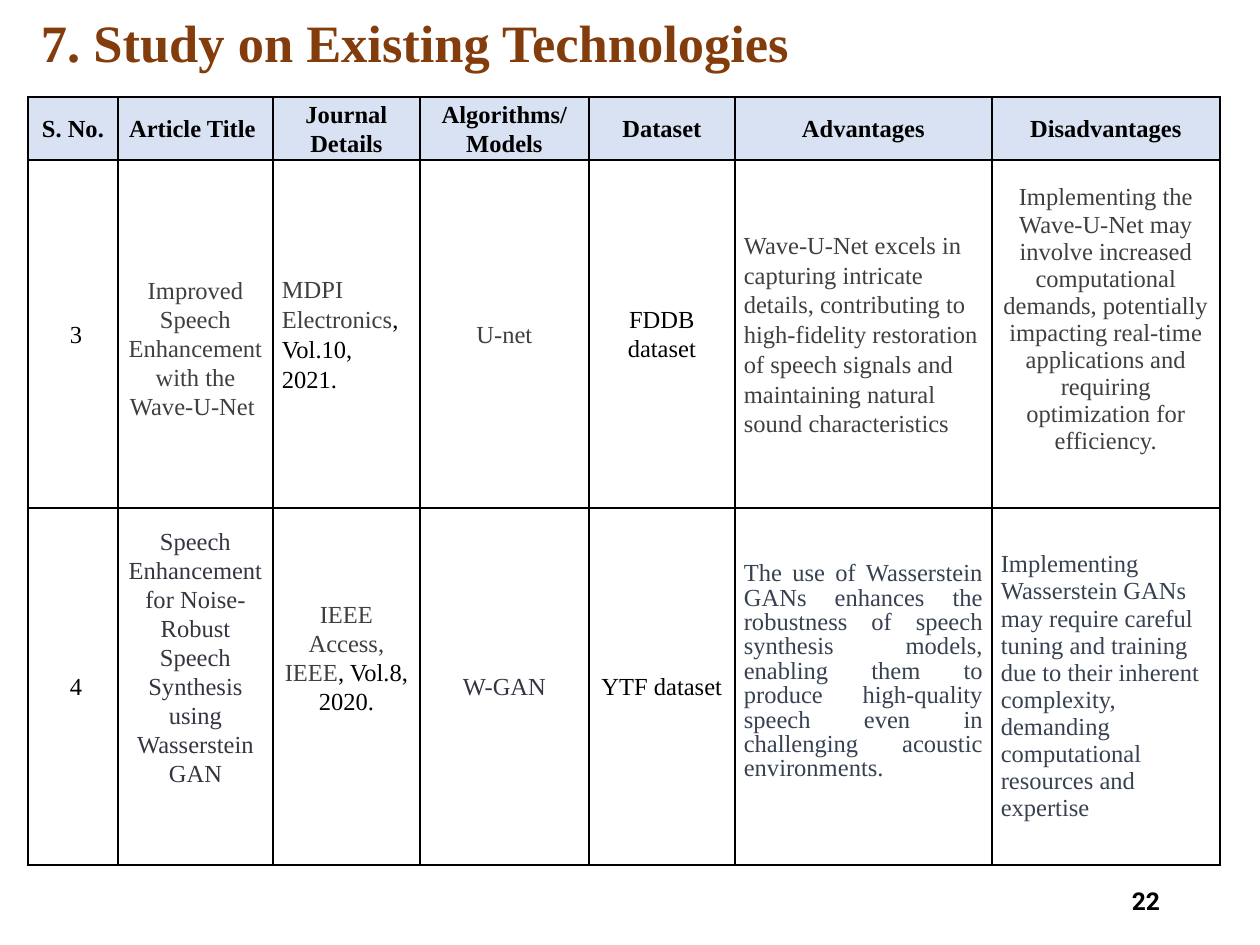
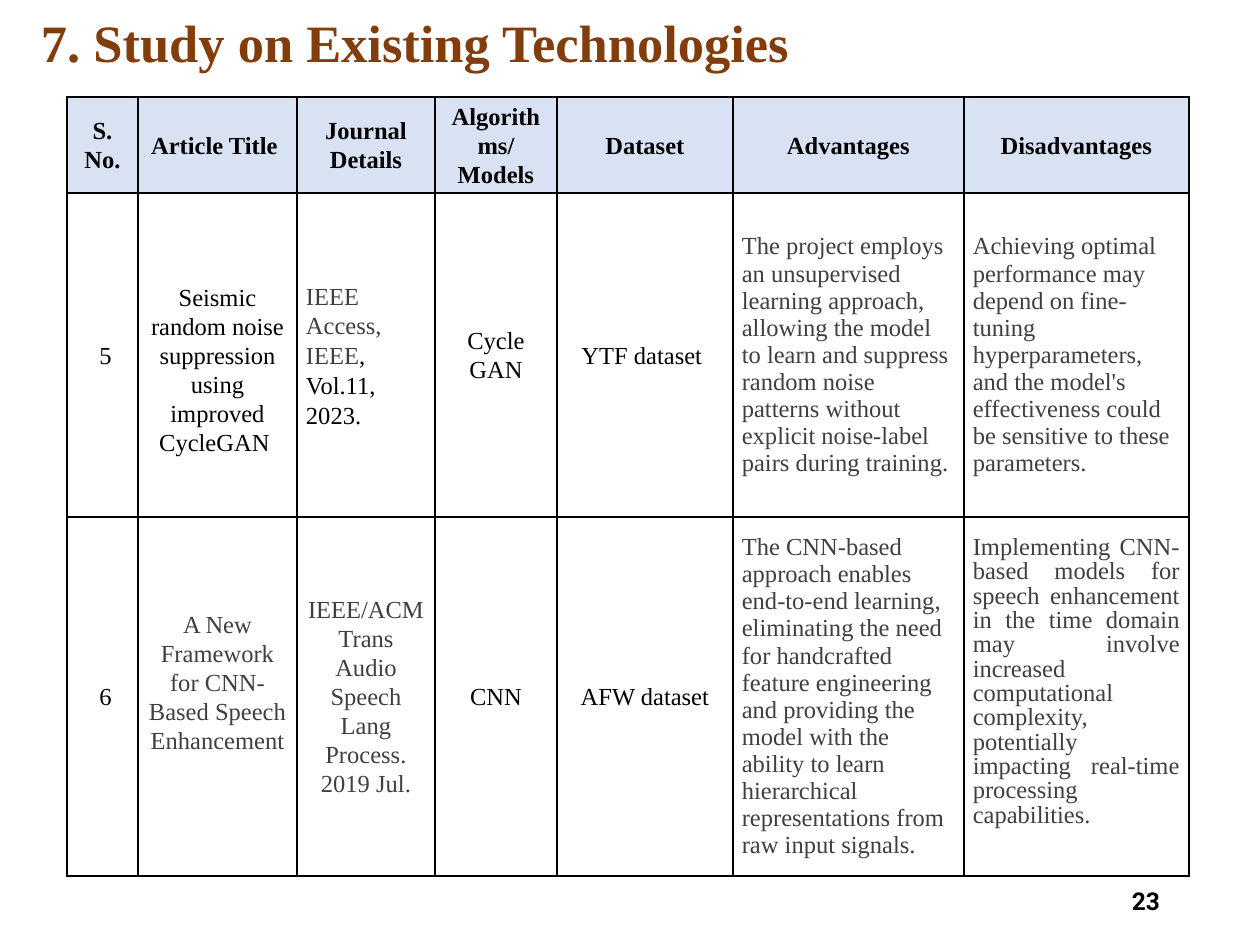
from dataclasses import dataclass

from lxml.etree import SubElement
from pptx import Presentation
from pptx.dml.color import RGBColor
from pptx.enum.text import MSO_ANCHOR, PP_ALIGN
from pptx.oxml.ns import qn
from pptx.util import Emu, Pt

SCALE = 914400 / 126  # EMU in one px


def px(n):
    return Emu(round(n * SCALE))


@dataclass(frozen=True)
class Theme:
    serif: str = "Times New Roman"
    sans: str = "Roboto"
    title: str = "833C0B"
    header: str = "D8E2F3"
    black: str = "000000"
    gray: str = "3F3F3F"
    ink: str = "343541"
    slate: str = "374151"
    title_size: int = 30
    body_size: int = 14
    inset: int = 9   # cell side margin, px
    line: int = 29   # height of one text line, px


T = Theme()

# Paragraph styles: alignment and line spacing
CENTER = (PP_ALIGN.CENTER, 1.07)
CENTER_TIGHT = (PP_ALIGN.CENTER, 1.0)
LEFT = (PP_ALIGN.LEFT, 1.1)
LEFT_TIGHT = (PP_ALIGN.LEFT, 1.0)
JUSTIFY = (PP_ALIGN.JUSTIFY, 0.9)
TITLE = (PP_ALIGN.LEFT, 0.9)
NUMBER = (PP_ALIGN.RIGHT, 1.0)


@dataclass
class Cell:
    """Table cell: (text, colour) runs, and free space in px around them."""
    runs: list
    style: tuple = CENTER
    top: int = 0
    bottom: int = 0
    indent: int = 0


def cell(text, color=T.black, style=CENTER, **space):
    return Cell([(text, color)], style, **space)


def serial(number):
    return cell(str(number), indent=6)


def journal(name, issue, style, **space):
    return Cell([(name, T.gray), (issue, T.black)], style, **space)


class Deck:
    def __init__(self, theme):
        self.t = theme
        self.prs = Presentation()
        self.prs.slide_width, self.prs.slide_height = px(1260), px(945)
        self.s = None

    def slide(self, title, number):
        self.s = self.prs.slides.add_slide(self.prs.slide_layouts[6])
        t = self.t
        self.text((28, 0, 1205, 91), title, TITLE, t.title_size, t.serif, t.title)
        self.text((890, 876, 283, 50), str(number), NUMBER, t.body_size, t.sans, t.black)

    def paragraph(self, tf, runs, style, size, font, bold):
        p = tf.paragraphs[0]
        p.alignment, p.line_spacing = style
        for text, color in runs:
            r = p.add_run()
            r.text = text
            r.font.name = font
            r.font.size = Pt(size)
            r.font.bold = bold
            r.font.color.rgb = RGBColor.from_string(color)

    def text(self, box, text, style, size, font, color):
        sp = self.s.shapes.add_textbox(*map(px, box))
        tf = sp.text_frame
        tf.word_wrap = True
        tf.vertical_anchor = MSO_ANCHOR.MIDDLE
        tf.margin_left = tf.margin_right = px(13)
        tf.margin_top = tf.margin_bottom = px(6)
        self.paragraph(tf, [(text, color)], style, size, font, True)

    def border(self, tc):
        tc_pr = tc._tc.get_or_add_tcPr()
        for side in ("lnL", "lnR", "lnT", "lnB"):
            ln = SubElement(tc_pr, qn(f"a:{side}"), w=str(Pt(1)))
            fill = SubElement(ln, qn("a:solidFill"))
            SubElement(fill, qn("a:srgbClr"), val=self.t.black)

    def table(self, left, top, widths, heights, rows):
        t = self.t
        frame = self.s.shapes.add_table(
            len(rows), len(widths), px(left), px(top), px(sum(widths)), px(sum(heights)))
        tbl = frame.table
        tbl.first_row = tbl.horz_banding = False
        for column, width in zip(tbl.columns, widths):
            column.width = px(width)
        for i, (height, row) in enumerate(zip(heights, rows)):
            tbl.rows[i].height = px(height)
            for j, c in enumerate(row):
                tc = tbl.cell(i, j)
                tc.vertical_anchor = MSO_ANCHOR.MIDDLE
                tc.margin_left, tc.margin_right = px(t.inset + c.indent), px(t.inset)
                tc.margin_top, tc.margin_bottom = px(c.top), px(c.bottom)
                self.border(tc)
                if i == 0:
                    tc.fill.solid()
                    tc.fill.fore_color.rgb = RGBColor.from_string(t.header)
                else:
                    tc.fill.background()
                self.paragraph(tc.text_frame, c.runs, c.style, t.body_size, t.serif, i == 0)


HEADING = "7. Study on Existing Technologies"
HEADER = [cell(name) for name in (
    "S. No.", "Article Title ", "Journal Details", "Algorithms/ Models",
    "Dataset", "Advantages", "Disadvantages")]

# Articles 3 and 4
WAVE_AND_WASSERSTEIN = [
    [serial(3),
     cell("Improved Speech Enhancement with the Wave-U-Net ", T.gray, top=T.line),
     journal("MDPI Electronics", ", Vol.10, 2021.", LEFT),
     cell("U-net", T.gray),
     cell("FDDB dataset"),
     cell("Wave-U-Net excels in capturing intricate details, contributing to "
          "high-fidelity restoration of speech signals and maintaining natural "
          "sound characteristics", T.gray, LEFT),
     cell("Implementing the Wave-U-Net may involve increased computational demands, "
          "potentially impacting real-time applications and requiring optimization "
          "for efficiency.", T.gray, CENTER_TIGHT, bottom=T.line)],
    [serial(4),
     cell("Speech Enhancement for Noise-Robust Speech Synthesis using Wasserstein GAN",
          T.ink, bottom=2 * T.line),
     journal("IEEE Access, IEEE", ", Vol.8, 2020.", CENTER, bottom=2 * T.line),
     cell("W-GAN", T.ink),
     cell("YTF dataset"),
     cell("The use of Wasserstein GANs enhances the robustness of speech synthesis "
          "models, enabling them to produce high-quality speech even in challenging "
          "acoustic environments.", T.slate, JUSTIFY, bottom=T.line),
     cell("Implementing Wasserstein GANs may require careful tuning and training due "
          "to their inherent complexity, demanding computational resources and "
          "expertise", T.slate, LEFT_TIGHT)],
]

# Articles 5 and 6
CYCLE_AND_CNN = [
    [serial(5),
     cell("Seismic random noise suppression using improved CycleGAN ", top=T.line),
     journal("IEEE Access, IEEE", ", Vol.11, 2023.", LEFT),
     cell("Cycle GAN"),
     cell("YTF dataset "),
     cell("The project employs an unsupervised learning approach, allowing the model "
          "to learn and suppress random noise patterns without explicit noise-label "
          "pairs during training.", T.gray, LEFT_TIGHT),
     cell("Achieving optimal performance may depend on fine-tuning hyperparameters, "
          "and the model's effectiveness could be sensitive to these parameters.",
          T.gray, LEFT_TIGHT)],
    [serial(6),
     cell("A New Framework for CNN-Based Speech Enhancement", T.gray, bottom=T.line),
     cell("IEEE/ACM Trans Audio Speech Lang Process. 2019 Jul.", T.gray),
     cell("CNN"),
     cell("AFW dataset"),
     cell("The CNN-based approach enables end-to-end learning, eliminating the need "
          "for handcrafted feature engineering and providing the model with the "
          "ability to learn hierarchical representations from raw input signals.",
          T.gray, LEFT_TIGHT),
     cell("Implementing CNN-based models for speech enhancement in the time domain "
          "may involve increased computational complexity, potentially impacting "
          "real-time processing capabilities.", T.gray, JUSTIFY, bottom=T.line)],
]


def main():
    deck = Deck(T)

    deck.slide(HEADING, 22)
    deck.table(28, 97, (90, 155, 147, 169, 146, 257, 228), (63, 348, 357),
               [HEADER, *WAVE_AND_WASSERSTEIN])

    deck.slide(HEADING, 23)
    deck.table(67, 97, (71, 159, 138, 122, 176, 231, 225), (96, 324, 359),
               [HEADER, *CYCLE_AND_CNN])

    deck.prs.save("out.pptx")


if __name__ == "__main__":
    main()
